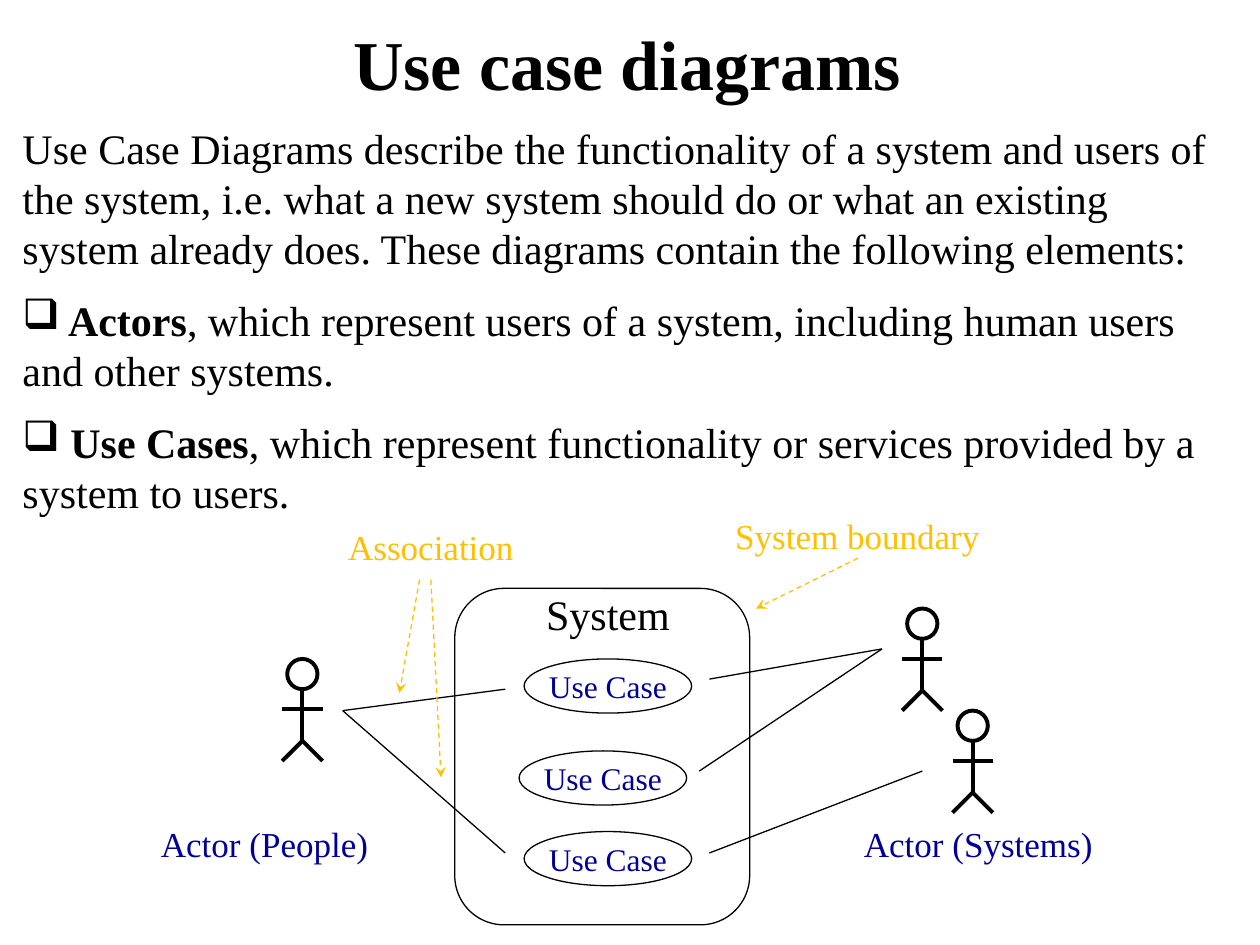
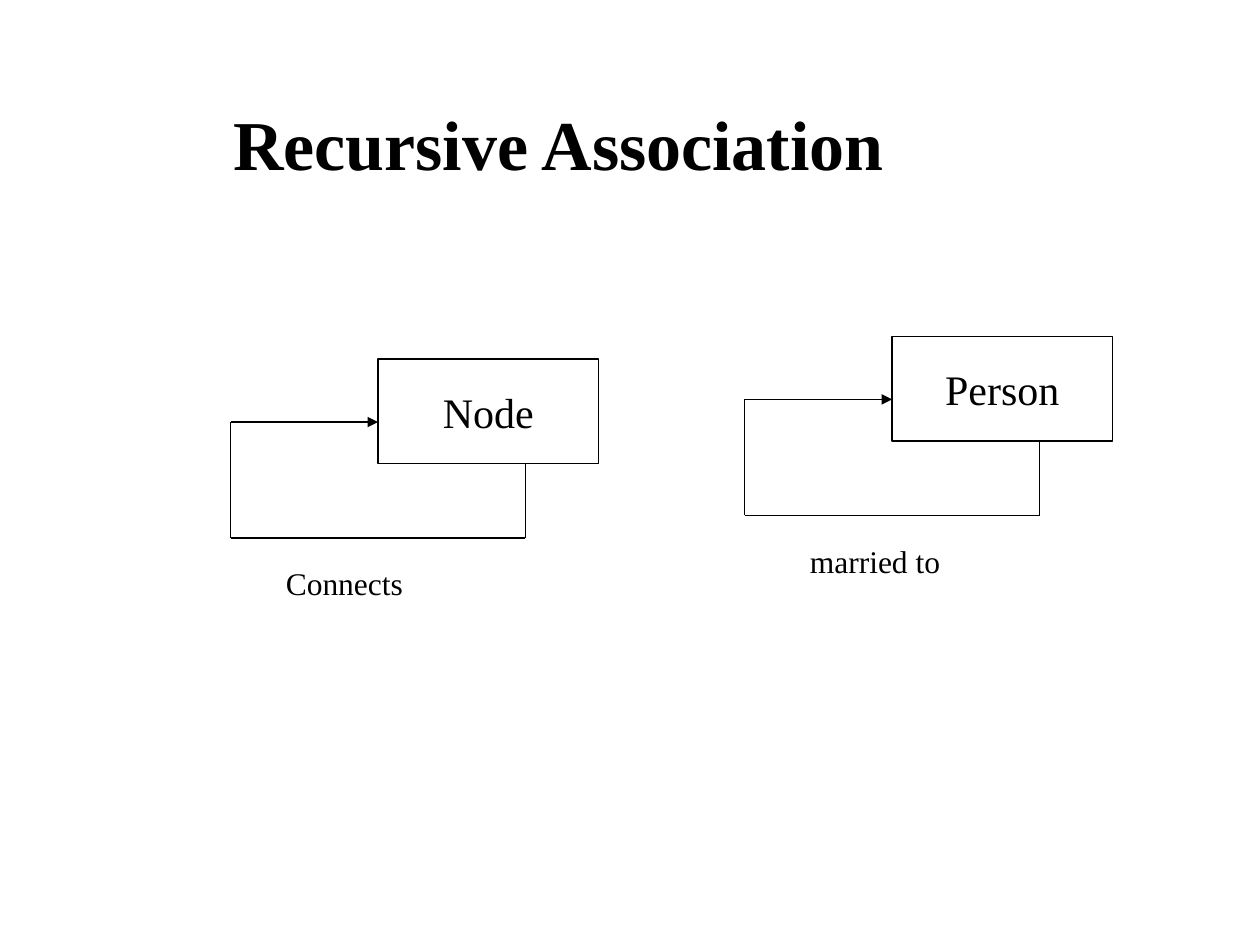
from lxml.etree import SubElement
from pptx import Presentation
from pptx.dml.color import RGBColor
from pptx.enum.dml import MSO_LINE
from pptx.enum.shapes import MSO_CONNECTOR, MSO_SHAPE
from pptx.enum.text import MSO_ANCHOR as Anchor, MSO_AUTO_SIZE, PP_ALIGN as Align
from pptx.oxml.ns import qn
from pptx.util import Inches, Pt

BLACK = RGBColor(0x00, 0x00, 0x00)
WHITE = RGBColor(0xFF, 0xFF, 0xFF)
NAVY = RGBColor(0x00, 0x00, 0x99)
AMBER = RGBColor(0xFF, 0xC0, 0x00)
FONT = "Times New Roman"
TITLE_ONLY = 5
THIN, THICK = 0.75, 2.25


class Sketch:
    """Holds the deck's style and the page being drawn."""

    def __init__(self):
        self.deck = Presentation()
        self.deck.slide_width = Inches(10)
        self.deck.slide_height = Inches(7.5)
        self.page = None

    def add_page(self, title, left, top, width, height, align, anchor):
        self.page = self.deck.slides.add_slide(self.deck.slide_layouts[TITLE_ONLY])
        box = self.page.shapes.title
        box.left, box.top = Inches(left), Inches(top)
        box.width, box.height = Inches(width), Inches(height)
        frame = box.text_frame
        frame.text = title
        frame.auto_size = MSO_AUTO_SIZE.NONE
        frame.vertical_anchor = anchor
        self.style(frame.paragraphs[0], 40, BLACK, align, bold=True)

    def style(self, para, size, color, align=Align.LEFT, bold=None):
        para.alignment = align
        font = para.font
        font.name, font.size, font.bold = FONT, Pt(size), bold
        font.color.rgb = color

    def text(self, left, top, width, height):
        box = self.page.shapes.add_textbox(
            Inches(left), Inches(top), Inches(width), Inches(height))
        box.text_frame.word_wrap = True
        return box.text_frame

    def label(self, words, left, top, width, height, size, color):
        """A centred one-line label without margins."""
        frame = self.text(left, top, width, height)
        frame.word_wrap = False
        frame.margin_left = frame.margin_right = 0
        frame.margin_top = frame.margin_bottom = 0
        frame.text = words
        self.style(frame.paragraphs[0], size, color, Align.CENTER)

    def caption(self, words, left, top):
        frame = self.text(left, top, 1.67, 0.4)
        frame.text = words
        self.style(frame.paragraphs[0], 18, BLACK)

    def bullet(self, para, char):
        props = para._p.get_or_add_pPr()
        props.set("marL", "0")
        props.set("indent", "0")
        SubElement(props, qn("a:buChar")).set("char", char)

    def shape(self, kind, left, top, width, height, weight=THIN, filled=True):
        shape = self.page.shapes.add_shape(
            kind, Inches(left), Inches(top), Inches(width), Inches(height))
        shape.shadow.inherit = False
        if filled:
            shape.fill.solid()
            shape.fill.fore_color.rgb = WHITE
        else:
            shape.fill.background()
        shape.line.color.rgb = BLACK
        shape.line.width = Pt(weight)
        return shape

    def write_in(self, shape, words, size, color, margin=None):
        frame = shape.text_frame
        if margin is not None:
            frame.margin_left = frame.margin_right = margin
            frame.margin_top = frame.margin_bottom = margin
        frame.vertical_anchor = Anchor.MIDDLE
        frame.text = words
        self.style(frame.paragraphs[0], size, color, Align.CENTER)

    def line(self, start, end, color=BLACK, weight=THIN, arrow=None, dashed=False):
        points = [Inches(value) for value in (*start, *end)]
        line = self.page.shapes.add_connector(MSO_CONNECTOR.STRAIGHT, *points)
        line.line.color.rgb = color
        line.line.width = Pt(weight)
        if dashed:
            line.line.dash_style = MSO_LINE.DASH
        if arrow:
            SubElement(line.line._get_or_add_ln(), qn("a:tailEnd")).set("type", arrow)
        SubElement(line._element.spPr, qn("a:effectLst"))

    def actor(self, center, top):
        """A stick figure: head, body, arms and two legs."""
        self.shape(MSO_SHAPE.OVAL, center - 0.12, top, 0.24, 0.24, THICK)
        hip = (center, top + 0.65)
        self.line((center, top + 0.24), hip, weight=THICK)
        self.line((center - 0.16, top + 0.4), (center + 0.16, top + 0.4), weight=THICK)
        for side in (-0.16, 0.16):
            self.line(hip, (center + side, top + 0.81), weight=THICK)

    def use_case(self, left, top):
        oval = self.shape(MSO_SHAPE.OVAL, left, top, 1.33, 0.43)
        self.write_in(oval, "Use Case", 18, NAVY, margin=0)

    def recursive_class(self, name, left, top):
        """A class box with a line that loops back to its left side."""
        box = self.shape(MSO_SHAPE.RECTANGLE, left, top, 1.75, 0.83, filled=False)
        self.write_in(box, name, 24, BLACK)
        loop_left, loop_right = left - 1.17, left + 1.17
        bottom, entry = top + 1.42, top + 0.5
        corners = [(loop_right, top + 0.83), (loop_right, bottom),
                   (loop_left, bottom), (loop_left, entry)]
        for start, end in zip(corners, corners[1:]):
            self.line(start, end)
        self.line(corners[-1], (left, entry), arrow="triangle")


def use_case_page(sketch):
    sketch.add_page("Use case diagrams ", 0.42, 0.08, 9.25, 0.83,
                    Align.CENTER, Anchor.MIDDLE)

    # Introduction and elements
    frame = sketch.text(0.08, 0.92, 9.75, 3.33)
    frame.text = (
        "Use Case Diagrams describe the functionality of a system and users of "
        "the system, i.e. what a new system should do or what an existing system "
        "already does. These diagrams contain the following elements:")
    sketch.style(frame.paragraphs[0], 24, BLACK)
    elements = {
        "Actors": ", which represent users of a system, including human users "
                  "and other systems.",
        "Use Cases": ", which represent functionality or services provided by a "
                     "system to users.",
    }
    for term, meaning in elements.items():
        para = frame.add_paragraph()
        para.space_before = Pt(12)
        sketch.bullet(para, "❑")
        span = para.add_run()
        span.text = " " + term
        span.font.bold = True
        para.add_run().text = meaning
        sketch.style(para, 24, BLACK)

    # System and its use cases
    sketch.shape(MSO_SHAPE.FLOWCHART_ALTERNATE_PROCESS, 3.61, 4.67, 2.34, 2.67)
    sketch.label("System", 4.33, 4.67, 0.99, 0.4, 24, BLACK)
    for left, top in ((4.16, 5.23), (4.12, 5.96), (4.16, 6.6)):
        sketch.use_case(left, top)

    # Actors
    for center, top in ((2.4, 5.23), (7.32, 4.83), (7.72, 5.64)):
        sketch.actor(center, top)
    sketch.label("Actor (People)", 1.27, 6.53, 1.66, 0.34, 20, NAVY)
    sketch.label("Actor (Systems)", 6.85, 6.53, 1.83, 0.34, 20, NAVY)

    # Associations
    person, first_system = (2.72, 5.64), (7, 5.15)
    for start, end in ((person, (4.01, 5.47)), (person, (4.01, 6.77)),
                       (first_system, (5.63, 5.39)), (first_system, (5.55, 6.12)),
                       ((7.32, 6.12), (5.63, 6.77))):
        sketch.line(start, end)

    # Explanations
    sketch.label("Association", 2.76, 4.17, 1.32, 0.34, 20, AMBER)
    sketch.label("System boundary", 5.83, 4.08, 1.95, 0.34, 20, AMBER)
    for start, end in (((3.33, 4.6), (3.17, 5.5)), ((3.42, 4.6), (3.5, 6.17)),
                       ((6.81, 4.43), (6, 4.83))):
        sketch.line(start, end, AMBER, arrow="stealth", dashed=True)


def recursive_page(sketch):
    sketch.add_page("Recursive Association", 1.75, 0.75, 5.67, 0.77,
                    Align.LEFT, Anchor.TOP)
    sketch.recursive_class("Node", 3, 2.85)
    sketch.caption("Connects", 2.17, 4.43)
    sketch.recursive_class("Person", 7.08, 2.67)
    sketch.caption("married to", 6.33, 4.25)


def main():
    sketch = Sketch()
    use_case_page(sketch)
    recursive_page(sketch)
    sketch.deck.save("out.pptx")


if __name__ == "__main__":
    main()
